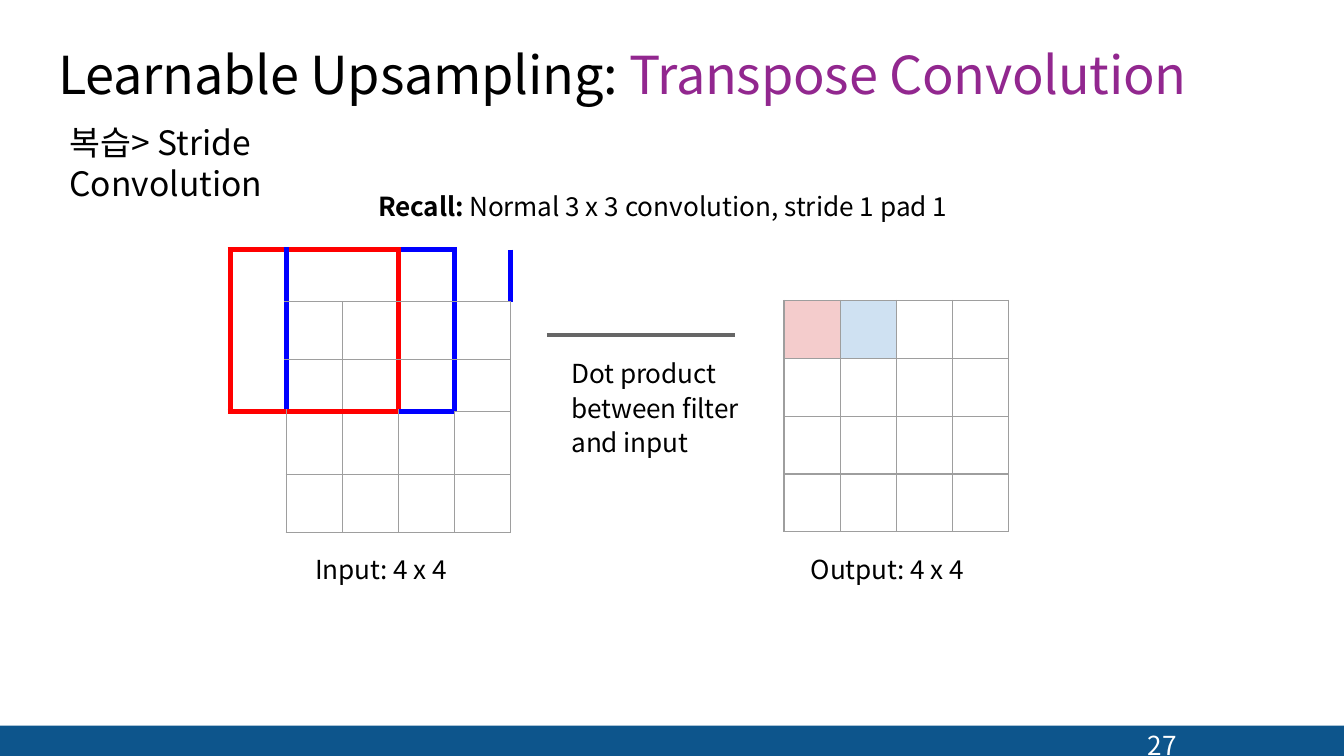
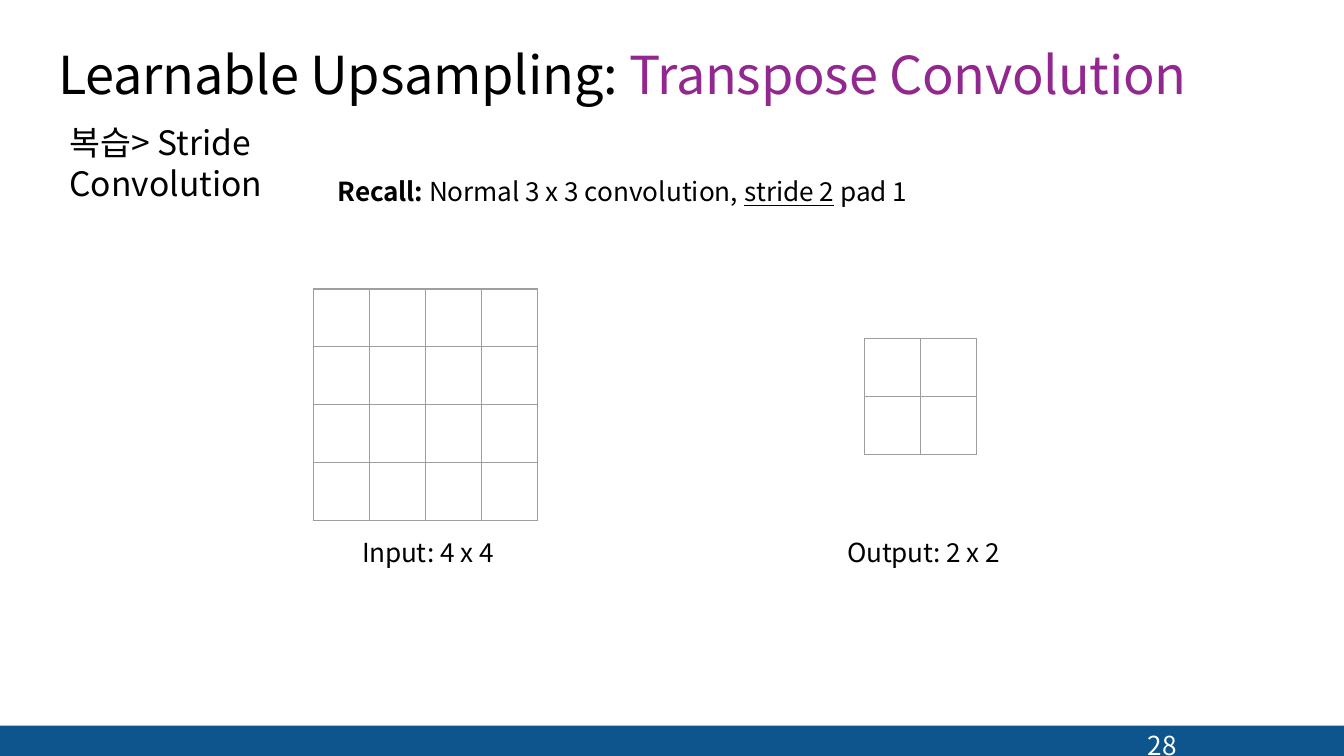
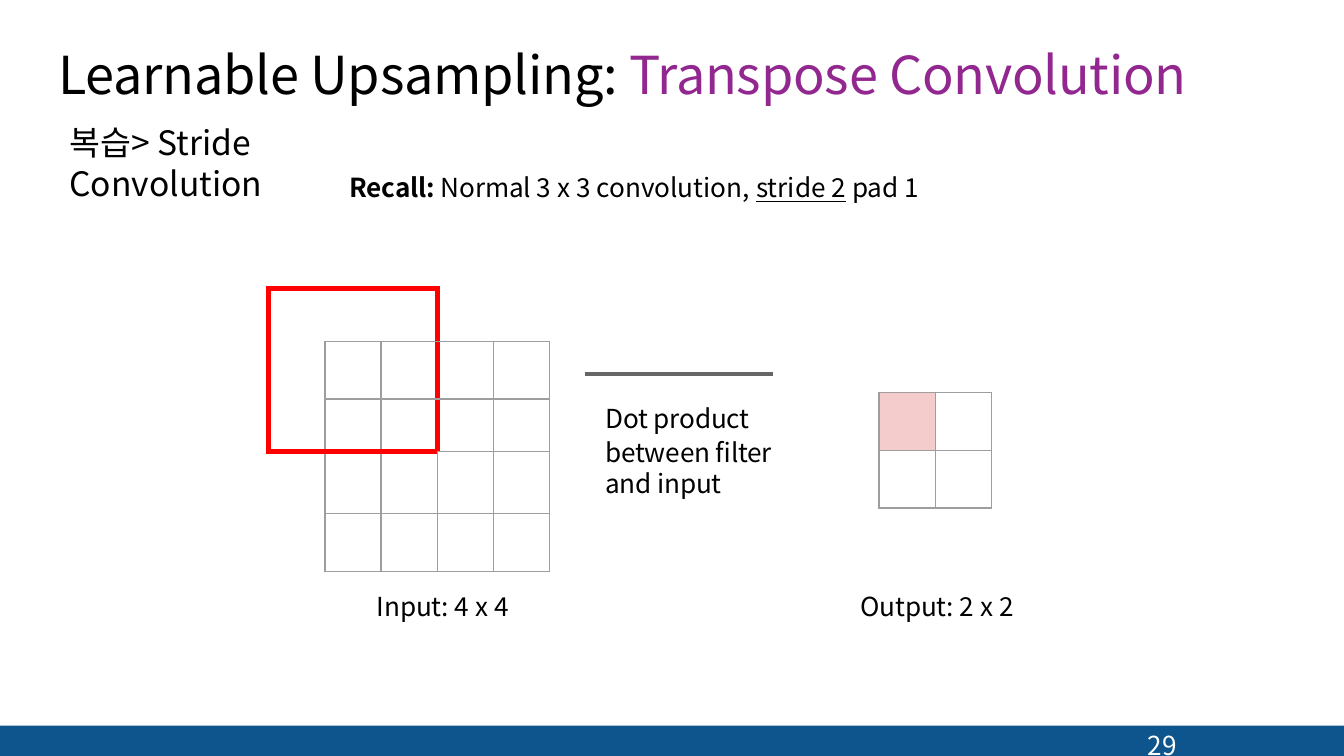
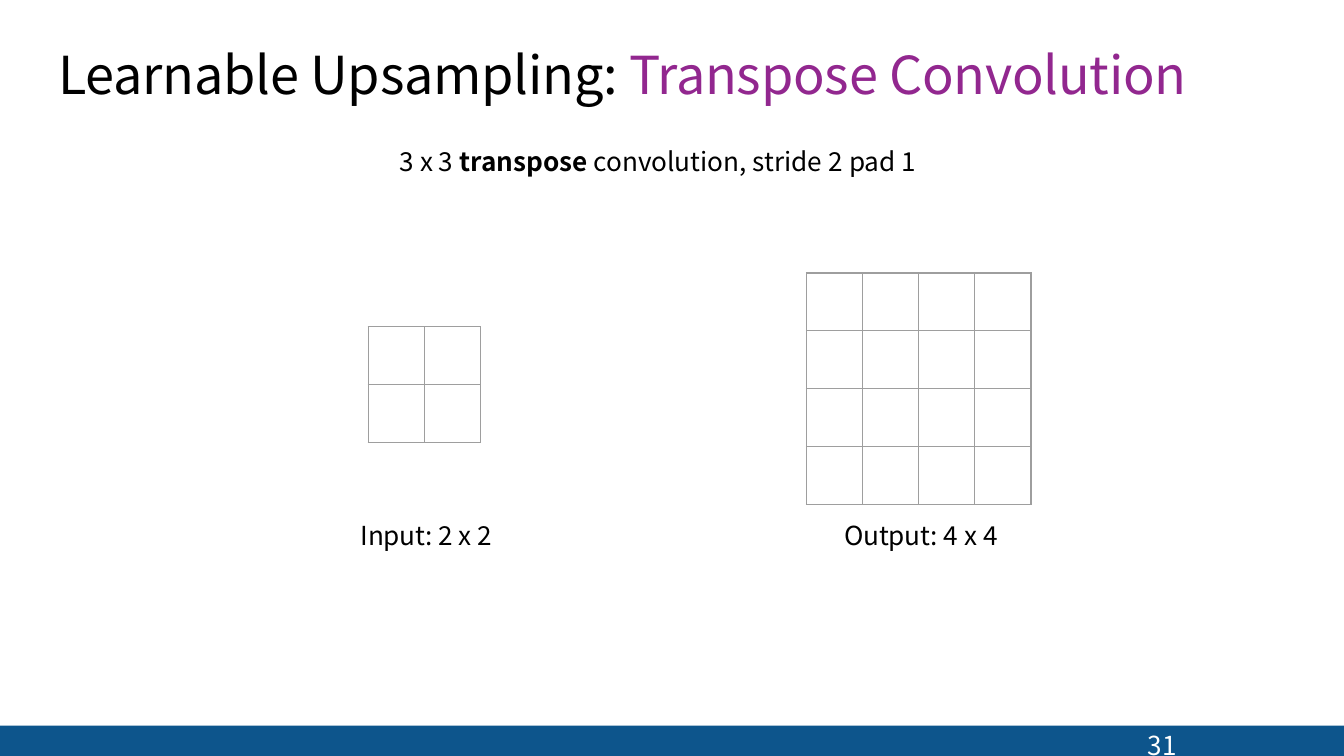
import pptx
import pptx.dml.color
import pptx.enum.shapes
import pptx.oxml
import pptx.oxml.ns
import pptx.util
from lxml import etree

Pt = pptx.util.Pt
qn = pptx.oxml.ns.qn

COLORS = {
    "black": "000000", "white": "FFFFFF", "purple": "92278F", "band": "0D558C",
    "grid": "9E9E9E", "line": "666666", "red": "FF0000", "blue": "0000FF",
    "pink": "F4CCCC", "sky": "CFE1F2",
}
FONT = "Noto Sans CJK KR"
PLAIN = "{2D5ABB26-0587-4C30-8999-92F81FD0307C}"  # table style without grid
WIDE, HIGH = 720, 405
CELL_W, CELL_H = 30.1, 31
PAD_ROWS = [28, 31, 28, 33.5, 31]


def rgb(name):
    return pptx.dml.color.RGBColor.from_string(COLORS[name])


class Deck:
    def __init__(self):
        self.prs = pptx.Presentation()
        self.prs.slide_width, self.prs.slide_height = Pt(WIDE), Pt(HIGH)

    # Slide frame: band, title and page number
    def start(self, page, review=True):
        self.slide = self.prs.slides.add_slide(self.prs.slide_layouts[6])
        self.shapes = self.slide.shapes
        self.band()
        self.text(30.2, 21.6, 641.5, 35.3,
                  [[("Learnable Upsampling: ", "t"),
                    ("Transpose Convolution", "t", "purple")]], size=28)
        self.text(612, 384.5, 28, 23, [[(str(page), "", "white")]],
                  inset=(0, 0, 0, 0), indent=3, spacing=23.1)
        if review:
            self.text(30.2, 61.9, 220.3, 28.8, [[("복습> Stride Convolution", "")]],
                      size=18, inset=(7.2, 3.6, 92, 3.6), indent=0)

    def band(self):
        kind = pptx.enum.shapes.MSO_SHAPE.RECTANGLE
        bar = self.shapes.add_shape(kind, 0, Pt(388.8), Pt(WIDE), Pt(HIGH - 388.8))
        bar.shadow.inherit = False
        bar.fill.solid()
        bar.fill.fore_color.rgb = rgb("band")
        bar.line.fill.background()

    # Runs are (text, flags, colour); flags: b bold, u underline, t tight
    def text(self, x, y, w, h, paras, size=14, inset=(0, 1, 0, 0),
             indent=1, spacing=None, gap=0):
        frame = self.shapes.add_textbox(Pt(x), Pt(y), Pt(w), Pt(h)).text_frame
        frame.word_wrap = True
        (frame.margin_left, frame.margin_top,
         frame.margin_right, frame.margin_bottom) = map(Pt, inset)
        for i, runs in enumerate(paras):
            para = frame.add_paragraph() if i else frame.paragraphs[0]
            para._p.get_or_add_pPr().set("marL", str(Pt(indent)))
            if spacing:
                para.line_spacing = Pt(spacing)
            if i and gap:
                para.space_before = Pt(gap)
            for run in runs:
                self.run(para, size, *run)

    def run(self, para, size, words, flags, color="black"):
        run = para.add_run()
        run.text = words
        font = run.font
        font.size, font.name = Pt(size), FONT
        font.color.rgb = rgb(color)
        font.bold = "b" in flags
        font.underline = "u" in flags
        props = run._r.get_or_add_rPr()
        etree.SubElement(props, qn("a:ea")).set("typeface", FONT)
        if "t" in flags:
            props.set("spc", "-10")

    def label(self, x, y, w, name, size):
        self.text(x, y, w, 18, [[(name + ": ", "t"), (size, "")]])

    def recall(self, x, y, w, *stride):
        self.text(x, y, w, 18, [[("Recall: ", "bt"), ("Normal ", "t"),
                                 ("3 x 3 convolution, ", ""), *stride,
                                 ("pad ", "t"), ("1", "")]])

    # Line with the note on the dot product below it
    def note(self, x, y, left, top, lines):
        kind = pptx.enum.shapes.MSO_CONNECTOR.STRAIGHT
        rule = self.shapes.add_connector(kind, Pt(x), Pt(y), Pt(x + 100.8), Pt(y))
        rule.line.color.rgb = rgb("line")
        rule.line.width = Pt(2.25)
        etree.SubElement(rule._element.spPr, qn("a:effectLst"))
        self.text(left, top, 101.5, 55, [[(line, "t")] for line in lines],
                  inset=(0, 2, 0, 0), spacing=16.5, gap=1.8)

    # Square grid; pad adds empty rows and columns at the top and left
    def grid(self, x, y, count, fills=None, pad=0, merges=(), frames=()):
        full = count + pad
        rows = PAD_ROWS if pad else [CELL_H] * count
        table = self.shapes.add_table(full, full, Pt(x), Pt(y), Pt(full * CELL_W),
                                      Pt(sum(rows))).table
        table.first_row = table.horz_banding = False
        table._tbl.tblPr.find(qn("a:tableStyleId")).text = PLAIN
        for col in table.columns:
            col.width = Pt(CELL_W)
        for row, high in zip(table.rows, rows):
            row.height = Pt(high)
        for r1, c1, r2, c2 in merges:
            table.cell(r1, c1).merge(table.cell(r2, c2))

        # Edges: thin grid lines first, then the filter frames over them
        edges = {}
        inner = range(pad, full)
        for r in inner:
            for c in inner:
                self.outline(edges, r, c, 1, ("grid", 0.75))
        for col, color in frames:
            self.outline(edges, 0, col, 3, (color, 3))

        for r in range(full):
            for c in range(full):
                cell = table.cell(r, c)
                cell.margin_left = cell.margin_right = 0
                cell.margin_top = cell.margin_bottom = 0
                down = cell.span_height if cell.is_merge_origin else 1
                over = cell.span_width if cell.is_merge_origin else 1
                sides = {"L": ("v", r, c), "R": ("v", r, c + over),
                         "T": ("h", r, c), "B": ("h", r + down, c)}
                for side, key in sides.items():
                    if key in edges:
                        self.border(cell, side, *edges[key])
                if fills and (r, c) in fills:
                    cell.fill.solid()
                    cell.fill.fore_color.rgb = rgb(fills[r, c])
                else:
                    cell.fill.background()

    def outline(self, edges, top, left, size, style):
        for i in range(size):
            for far in (0, size):
                edges["h", top + far, left + i] = style
                edges["v", top + i, left + far] = style

    def border(self, cell, side, color, width):
        props = cell._tc.get_or_add_tcPr()
        line = etree.SubElement(props, qn("a:ln" + side), w=str(Pt(width)))
        fill = etree.SubElement(line, qn("a:solidFill"))
        etree.SubElement(fill, qn("a:srgbClr"), val=COLORS[color])


def main():
    deck = Deck()
    twice = [("stride 2", "u"), (" ", "")]

    # Stride 1 with two filter positions
    deck.start(27)
    deck.grid(123.3, 133.7, 4, pad=1, frames=[(1, "blue"), (0, "red")],
              merges=[(0, 0, 2, 0), (0, 1, 0, 2), (3, 0, 4, 0)])
    deck.grid(420, 161, 4, {(0, 0): "pink", (0, 1): "sky"})
    deck.label(168, 295.2, 80.6, "Input", "4 x 4")
    deck.label(433.4, 295.2, 94.3, "Output", "4 x 4")
    deck.note(293, 179.3, 305.3, 190,
              ["Dot product", "between filter", "and input"])
    deck.recall(201.6, 100.8, 416, ("stride 1 ", ""))

    # Stride 2, empty grids
    deck.start(28)
    deck.grid(167.8, 154.8, 4)
    deck.grid(463, 181.4, 2)
    deck.label(193, 286.6, 89.3, "Input", "4 x 4")
    deck.label(452.9, 286.6, 103, "Output", "2 x 2")
    deck.recall(180, 92.9, 398, *twice)

    # Stride 2, first filter position
    deck.start(29)
    deck.grid(144, 154.8, 4, pad=1, frames=[(0, "red")],
              merges=[(0, 0, 0, 2), (0, 3, 0, 4), (1, 0, 2, 0), (3, 0, 4, 0)])
    deck.grid(470.9, 210.2, 2, {(0, 0): "pink"})
    deck.label(200.9, 315.4, 84.2, "Input", "4 x 4")
    deck.label(460, 315.4, 96.5, "Output", "2 x 2")
    deck.note(313.2, 200.2, 323.3, 213.8,
              ["Dot product", "between filter and input"])
    deck.recall(186.3, 90.7, 398, *twice)

    # Transpose convolution
    deck.start(31, review=False)
    deck.text(213.1, 77, 368.6, 18,
              [[("3 x 3 ", ""), ("transpose ", "b"), ("convolution, stride 2 ", ""),
                ("pad ", "t"), ("1", "")]])
    deck.grid(197.3, 175, 2)
    deck.label(192.2, 277.2, 87.8, "Input", "2 x 2")
    deck.label(451.4, 277.2, 100.8, "Output", "4 x 4")
    deck.grid(432, 146.2, 4)

    deck.prs.save("out.pptx")


if __name__ == "__main__":
    main()
